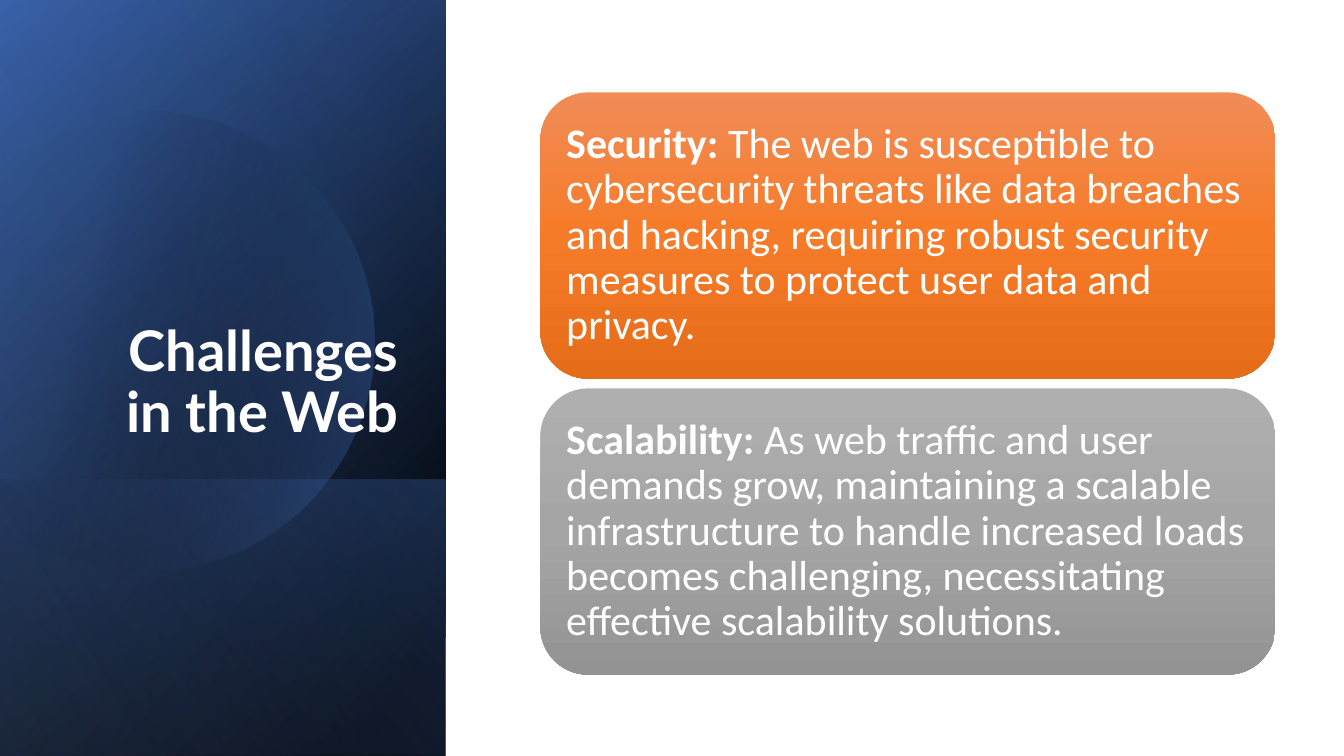
from dataclasses import dataclass
from math import acos, cos, pi, sin

from lxml import etree
from pptx import Presentation
from pptx.dml.color import RGBColor
from pptx.enum import shapes as kinds, text as texts
from pptx.oxml.ns import qn
from pptx.util import Cm, Pt


@dataclass(frozen=True)
class Theme:
    black: str = "000000"
    white: str = "FFFFFF"
    navy: str = "2F5597"
    blue: str = "4472C4"
    pale: str = "8FAADC"
    orange: tuple = ("F18C57", "F67B28", "E56C19")
    grey: tuple = ("AFAFAF", "A5A5A5", "939393")
    head: str = "Lato"
    body: str = "Calibri"
    large: int = 40
    small: int = 30


THEME = Theme()
WIDE, HIGH = 33.87, 19.05
PANEL = 11.23


def blend(shape, stops, angle):
    shape.shadow.inherit = False
    shape.line.fill.background()
    shape.fill.gradient()
    shape.fill.gradient_angle = -angle % 360
    ramp = shape._element.spPr.find(qn("a:gradFill")).find(qn("a:gsLst"))
    for old in list(ramp):
        ramp.remove(old)
    for place, color, alpha in stops:
        stop = etree.SubElement(ramp, qn("a:gs"), pos=str(place * 1000))
        tint = etree.SubElement(stop, qn("a:srgbClr"), val=color)
        if alpha < 100:
            etree.SubElement(tint, qn("a:alpha"), val=str(alpha * 1000))


def shade(slide, top, height, stops, angle):
    shift = (PANEL - height) / 2
    rect = slide.shapes.add_shape(
        kinds.MSO_SHAPE.RECTANGLE,
        Cm(shift), Cm(top - shift), Cm(height), Cm(PANEL))
    rect.rotation = 90
    rect._element.spPr.xfrm.set("flipH", "1")
    blend(rect, stops, angle)


def disc(slide, x, y, radius, edge, stops, angle):
    limit = acos((edge - x) / radius)
    steps = 120
    turns = [limit * (2 * i / steps - 1) for i in range(steps + 1)]
    points = [(Cm(x + radius * cos(t)), Cm(y + radius * sin(t))) for t in turns]
    form = slide.shapes.build_freeform(*points[0])
    form.add_line_segments(points[1:], close=True)
    blend(form.convert_to_shape(), stops, angle)


def style(par, face, size):
    par.line_spacing = 0.9
    par.font.name = face
    par.font.size = Pt(size)
    par.font.color.rgb = RGBColor.from_string(THEME.white)


def title(slide, words):
    box = slide.shapes.title
    box.left, box.top, box.width, box.height = Cm(1.63), Cm(4.67), Cm(8.66), Cm(6.65)
    frame = box.text_frame
    frame.text = words
    frame.word_wrap = True
    frame.auto_size = texts.MSO_AUTO_SIZE.NONE
    frame.vertical_anchor = texts.MSO_ANCHOR.BOTTOM
    par = frame.paragraphs[0]
    par.alignment = texts.PP_ALIGN.RIGHT
    par.font.bold = True
    style(par, THEME.head, THEME.large)
    tree = slide.shapes._spTree
    tree.remove(box._element)
    tree.append(box._element)


def card(slide, top, colors, label, words):
    box = slide.shapes.add_shape(
        kinds.MSO_SHAPE.ROUNDED_RECTANGLE, Cm(13.62), Cm(top), Cm(18.52), Cm(7.21))
    blend(box, [(50 * i, color, 100) for i, color in enumerate(colors)], 90)
    frame = box.text_frame
    frame.word_wrap = True
    frame.vertical_anchor = texts.MSO_ANCHOR.MIDDLE
    frame.margin_left = frame.margin_right = Cm(0.3)
    frame.margin_top = frame.margin_bottom = Cm(0.3)
    par = frame.paragraphs[0]
    par.alignment = texts.PP_ALIGN.LEFT
    style(par, THEME.body, THEME.small)
    lead = par.add_run()
    lead.text = label
    lead.font.bold = True
    par.add_run().text = " " + words


def main():
    deck = Presentation()
    deck.slide_width, deck.slide_height = Cm(WIDE), Cm(HIGH)
    slide = deck.slides.add_slide(deck.slide_layouts[5])

    black, blue = THEME.black, THEME.blue
    shade(slide, 0, HIGH, [(8, black, 100), (100, THEME.navy, 100)], 50)
    shade(slide, 0, HIGH, [(0, black, 0), (99, blue, 46)], 30)
    shade(slide, 12.09, 6.96, [(2, blue, 29), (100, black, 30)], 130)
    disc(slide, 3.63, 8.6, 5.81, -0.38, [(29, black, 0), (100, blue, 43)], 14)
    shade(slide, 0, HIGH, [(0, black, 0), (99, THEME.pale, 11)], 120)

    title(slide, "Challenges in the Web")
    cards = [
        (THEME.orange, "Security:",
         "The web is susceptible to cybersecurity threats like data breaches "
         "and hacking, requiring robust security measures to protect user "
         "data and privacy."),
        (THEME.grey, "Scalability:",
         "As web traffic and user demands grow, maintaining a scalable "
         "infrastructure to handle increased loads becomes challenging, "
         "necessitating effective scalability solutions."),
    ]
    for i, (colors, label, words) in enumerate(cards):
        card(slide, 2.33 + 7.46 * i, colors, label, words)
    deck.save("out.pptx")


if __name__ == "__main__":
    main()
